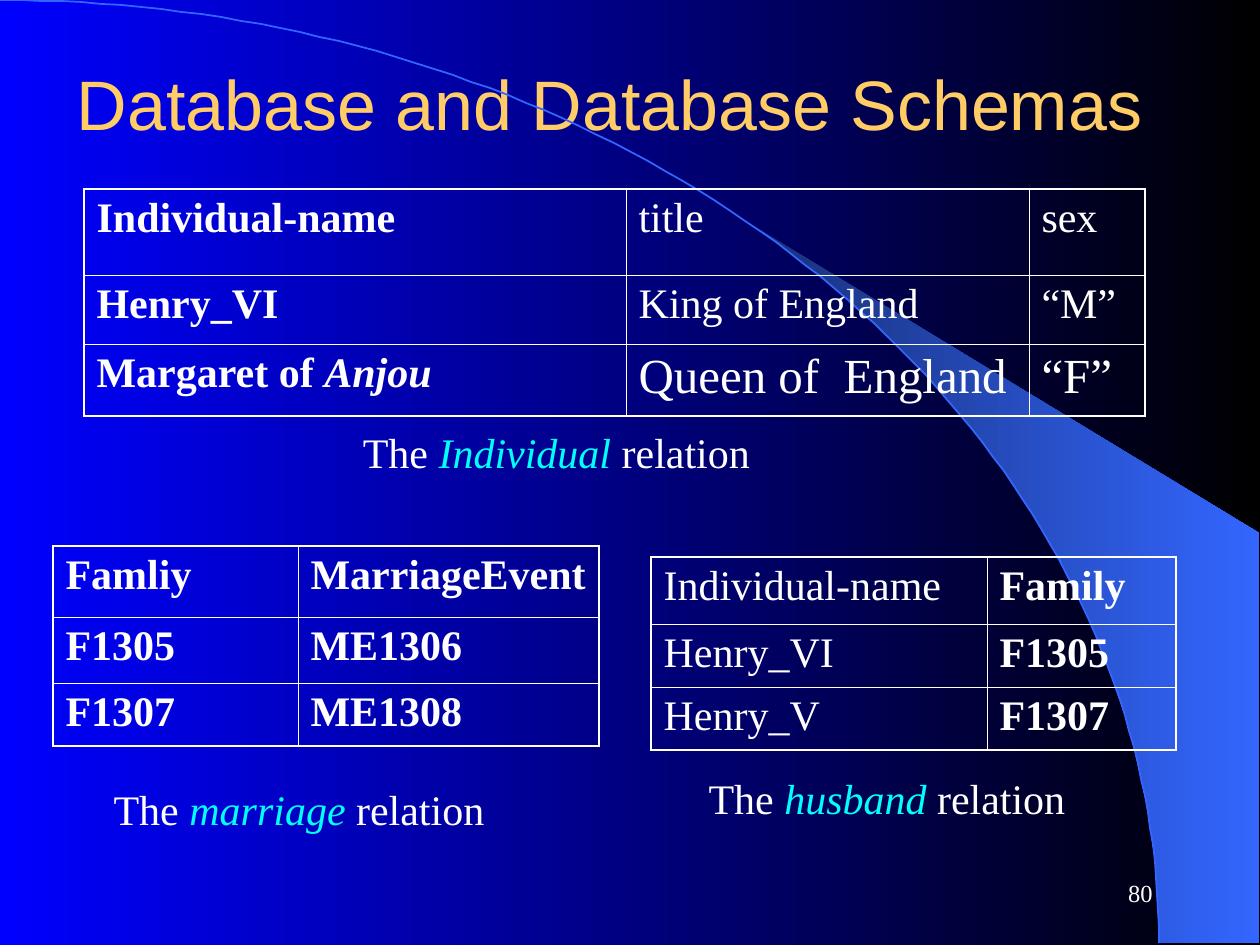
from math import asin, cos, pi, sin

from lxml import etree
from pptx import Presentation
from pptx.dml.color import RGBColor
from pptx.enum.text import MSO_ANCHOR, PP_ALIGN
from pptx.oxml.ns import qn
from pptx.util import Pt

CENTER, RIGHT = PP_ALIGN.CENTER, PP_ALIGN.RIGHT
MIDDLE = MSO_ANCHOR.MIDDLE
EMU_PER_PX = 914400 / 126
WIDTH, HEIGHT = 1260, 945

SERIF, SANS = "Times New Roman", "Arial"
WHITE, CYAN, GOLD, SKY = "FFFFFF", "00FFFF", "FFCC66", "3366FF"
THICK, THIN = 1.08, 0.45

# A run is (text, style, size); style letters: b = bold, i = italic.
TITLE = "Database and Database Schemas"
TABLES = [
    {
        "corner": (84, 189), "columns": (542, 403, 116), "rows": (86, 69, 72),
        "cells": [
            [[("Individual-name", "b", 24)], [("title", "", 24)], [("sex", "", 24)]],
            [[("Henry_VI", "b", 24)], [("King of England", "", 24)], [("“M”", "", 24)]],
            [[("Margaret of ", "b", 24), ("Anjou", "bi", 24)],
             [("Queen of  England", "", 28)], [("“F”", "", 28)]],
        ],
    },
    {
        "corner": (53, 546), "columns": (245, 301), "rows": (71, 66, 63),
        "cells": [
            [[("Famliy", "b", 24)], [("MarriageEvent", "b", 24)]],
            [[("F1305", "b", 24)], [("ME1306", "b", 24)]],
            [[("F1307", "b", 24)], [("ME1308", "b", 24)]],
        ],
    },
    {
        "corner": (651, 557), "columns": (336, 189), "rows": (67, 63, 63),
        "cells": [
            [[("Individual-name", "", 24)], [("Family", "b", 24)]],
            [[("Henry_VI", "", 24)], [("F1305", "b", 24)]],
            [[("Henry_V", "", 24)], [("F1307", "b", 24)]],
        ],
    },
]
CAPTIONS = [
    ("Individual", (273, 420, 567, 63)),
    ("marriage", (42, 777, 514, 63)),
    ("husband", (630, 766, 514, 63)),
]
PAGE_NUMBER = ("80", (903, 861, 262, 63))

ARC_WIDTH, ARC_HEIGHT = 1159, 943
WEDGE_TIP_X = 742
WEDGE_RIGHT = (1259, 533)


def px(length):
    return round(length * EMU_PER_PX)


def rgb(color):
    return RGBColor.from_string(color)


def add_run(paragraph, text, style="", size=24, color=WHITE, font_name=SERIF):
    run = paragraph.add_run()
    run.text = text
    run.font.name = font_name
    run.font.size = Pt(size)
    run.font.bold = "b" in style
    run.font.italic = "i" in style
    run.font.color.rgb = rgb(color)


def add_text(slide, box, align):
    """Add an empty text box and return its text frame and first paragraph."""
    frame = slide.shapes.add_textbox(*map(px, box)).text_frame
    frame.word_wrap = True
    paragraph = frame.paragraphs[0]
    paragraph.alignment = align
    return frame, paragraph


def set_gradient(fill, colors):
    fill.gradient()
    fill.gradient_angle = 0
    for stop, color in zip(fill.gradient_stops, colors):
        stop.color.rgb = rgb(color)


def arc_points(start_angle, steps):
    """Points on the quarter ellipse from start_angle down to its right end."""
    angles = [start_angle + (pi / 2 - start_angle) * i / steps for i in range(steps + 1)]
    return [(ARC_WIDTH * sin(a), ARC_HEIGHT * (1 - cos(a))) for a in angles]


def add_outline(slide, points, close):
    builder = slide.shapes.build_freeform(*points[0], scale=EMU_PER_PX)
    builder.add_line_segments(points[1:], close=close)
    shape = builder.convert_to_shape()
    shape.shadow.inherit = False
    return shape


def add_backdrop(slide):
    set_gradient(slide.background.fill, ("0000FF", "000000"))

    edge = arc_points(asin(WEDGE_TIP_X / ARC_WIDTH), 30)
    wedge = add_outline(slide, edge + [(WEDGE_RIGHT[0], ARC_HEIGHT), WEDGE_RIGHT], True)
    set_gradient(wedge.fill, ("182F76", SKY))
    wedge.line.fill.background()

    arc = add_outline(slide, arc_points(0, 90), False)
    arc.fill.background()
    arc.line.color.rgb = rgb(SKY)
    arc.line.width = Pt(1)


def set_borders(cell, outer_sides):
    properties = cell._tc.get_or_add_tcPr()
    for side in "LRTB":
        width = THICK if side in outer_sides else THIN
        line = etree.SubElement(properties, qn(f"a:ln{side}"), w=str(Pt(width)))
        fill = etree.SubElement(line, qn("a:solidFill"))
        etree.SubElement(fill, qn("a:srgbClr"), val=WHITE)


def add_relation(slide, corner, columns, rows, cells):
    box = (*corner, sum(columns), sum(rows))
    table = slide.shapes.add_table(len(rows), len(columns), *map(px, box)).table
    table.first_row = table.horz_banding = False
    for column, width in zip(table.columns, columns):
        column.width = px(width)
    for row, height in zip(table.rows, rows):
        row.height = px(height)
    last_row, last_column = len(rows) - 1, len(columns) - 1
    for r, row_cells in enumerate(cells):
        for c, runs in enumerate(row_cells):
            cell = table.cell(r, c)
            edges = {"L": c == 0, "R": c == last_column, "T": r == 0, "B": r == last_row}
            set_borders(cell, [side for side, is_outer in edges.items() if is_outer])
            cell.fill.background()
            for run in runs:
                add_run(cell.text_frame.paragraphs[0], *run)


def add_title(slide):
    title = slide.shapes.title
    title.left, title.top, title.width, title.height = map(px, (53, 32, 1134, 136))
    title.text_frame.vertical_anchor = MIDDLE
    paragraph = title.text_frame.paragraphs[0]
    paragraph.alignment = CENTER
    add_run(paragraph, TITLE, size=40, color=GOLD, font_name=SANS)
    add_run(paragraph, " ", size=44, color=GOLD, font_name=SANS)


def main():
    presentation = Presentation()
    presentation.slide_width, presentation.slide_height = px(WIDTH), px(HEIGHT)
    slide = presentation.slides.add_slide(presentation.slide_layouts[5])

    add_backdrop(slide)
    add_title(slide)
    for relation in TABLES:
        add_relation(slide, **relation)
    for name, box in CAPTIONS:
        _, paragraph = add_text(slide, box, CENTER)
        add_run(paragraph, "The ")
        add_run(paragraph, name, "i", color=CYAN)
        add_run(paragraph, " relation")
    number, box = PAGE_NUMBER
    frame, paragraph = add_text(slide, box, RIGHT)
    frame.vertical_anchor = MIDDLE
    add_run(paragraph, number, size=14)

    presentation.save("out.pptx")


if __name__ == "__main__":
    main()
